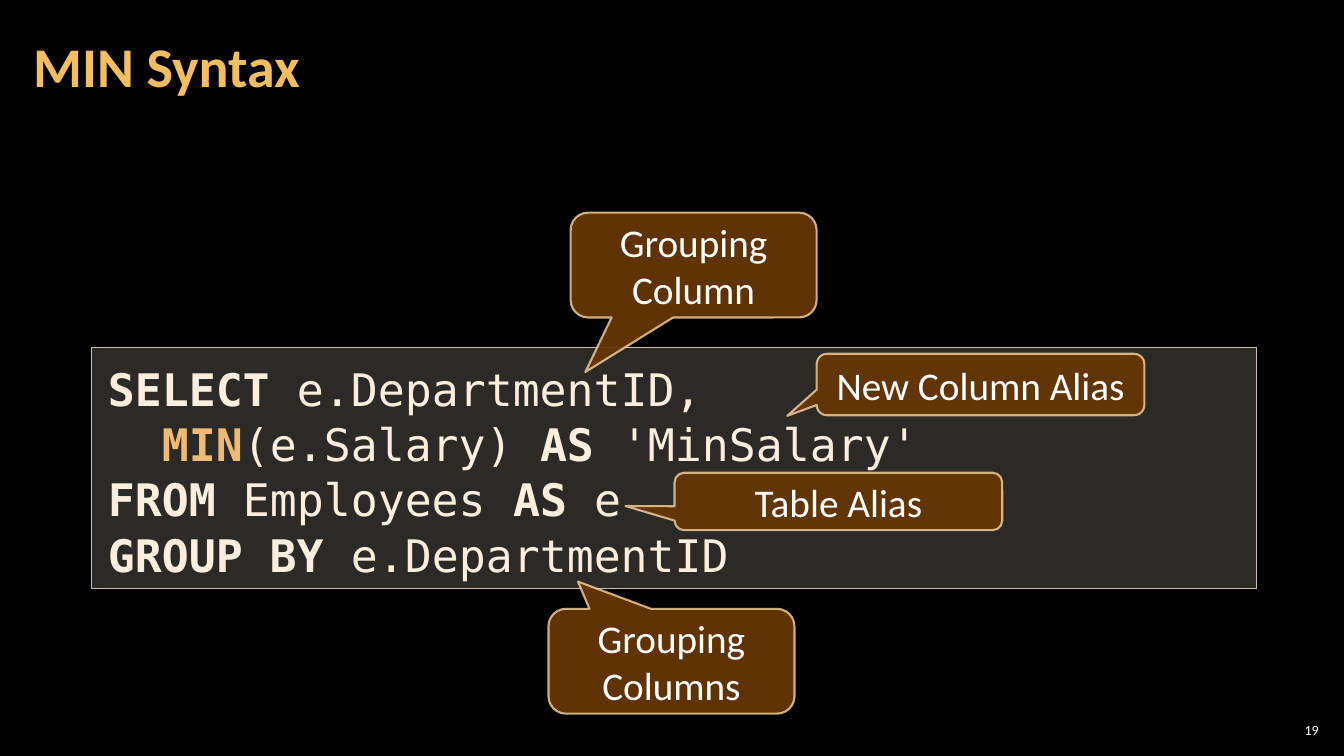
from lxml import etree
from pptx import Presentation
from pptx.dml.color import RGBColor
from pptx.enum.shapes import MSO_SHAPE
from pptx.enum.text import MSO_ANCHOR, PP_ALIGN
from pptx.oxml.ns import qn
from pptx.util import Inches, Pt

RECT = MSO_SHAPE.RECTANGLE
CALLOUT = MSO_SHAPE.ROUNDED_RECTANGULAR_CALLOUT
TOP, MIDDLE = MSO_ANCHOR.TOP, MSO_ANCHOR.MIDDLE
LEFT, CENTER, RIGHT = PP_ALIGN.LEFT, PP_ALIGN.CENTER, PP_ALIGN.RIGHT

FONT, CODE_FONT = "Calibri", "DejaVu Sans Mono"
COLORS = {
    "background": "000000",
    "title": "F3BE60",
    "text": "FFFFFF",
    "code": "FBEEDC",
    "function": "EFBB72",
    "panel": "D9D5C7",
    "panel_line": "C7BFAC",
    "callout": "663606",
    "callout_line": "F8D49E",
}

QUERY = [
    [("SELECT ", "keyword"), ("e.DepartmentID,", "plain"), ("\n", "break"),
     ("  ", "plain"), ("MIN", "function"), ("(e.Salary) ", "plain"),
     ("AS", "keyword"), (" 'MinSalary'", "plain")],
    [("FROM", "keyword"), (" Employees ", "plain"), ("AS", "keyword"), (" e", "plain")],
    [("GROUP BY ", "keyword"), ("e.DepartmentID", "plain")],
]
CALLOUTS = [
    ("Grouping Column", (5.66, 2.11, 2.44, 1.04), (-0.44, 1.02)),
    ("Grouping Columns", (5.44, 6.04, 2.44, 1.04), (-0.38, -0.76)),
    ("Table Alias", (6.69, 4.69, 3.25, 0.57), (-0.65, 0.08)),
    ("New Column Alias", (8.1, 3.51, 3.25, 0.61), (-0.59, 0.51)),
]


def rgb(name):
    """Return the named colour."""
    return RGBColor.from_string(COLORS[name])


def paint(fill, name, opacity=100):
    """Fill with a named colour at an opacity in percent."""
    fill.solid()
    fill.fore_color.rgb = rgb(name)
    if opacity < 100:
        for clr in fill._xPr.iter(qn("a:srgbClr")):
            etree.SubElement(clr, qn("a:alpha"), val=str(opacity * 1000))


def set_frame(tf, inset_x, inset_y, anchor):
    """Set wrapping, insets and anchor of a text frame."""
    tf.word_wrap = True
    tf.margin_left = tf.margin_right = Inches(inset_x)
    tf.margin_top = tf.margin_bottom = Inches(inset_y)
    tf.vertical_anchor = anchor


def style(p, size, color, align=LEFT, font=FONT, bold=False):
    """Set the font and alignment of a paragraph."""
    p.alignment = align
    p.font.name, p.font.size, p.font.bold = font, Pt(size), bold
    p.font.color.rgb = rgb(color)


def add_label(s, box, text, inset_x, size, color, align, bold=False):
    """Add a one-line text box."""
    tf = s.shapes.add_textbox(*map(Inches, box)).text_frame
    set_frame(tf, inset_x, 0.04, MIDDLE)
    p = tf.paragraphs[0]
    p.text = text
    style(p, size, color, align, bold=bold)


def add_panel(s, kind, box, fill, opacity, line, width, line_opacity=100):
    """Add a filled and outlined shape without a shadow."""
    sp = s.shapes.add_shape(kind, *map(Inches, box))
    sp.shadow.inherit = False
    paint(sp.fill, fill, opacity)
    sp.line.width = Pt(width)
    paint(sp.line.fill, line, line_opacity)
    return sp


def add_code(s, box, paragraphs):
    """Add the code panel with highlighted keywords."""
    sp = add_panel(s, RECT, box, "panel", 20, "panel_line", 1)
    tf = sp.text_frame
    set_frame(tf, 0.16, 0.12, TOP)
    for i, runs in enumerate(paragraphs):
        p = tf.add_paragraph() if i else tf.paragraphs[0]
        style(p, 32, "code", font=CODE_FONT)
        p.line_spacing = 1.03
        for text, role in runs:
            if role == "break":
                p.add_line_break()
                continue
            r = p.add_run()
            r.text = text
            r.font.name, r.font.size = CODE_FONT, Pt(32)
            r.font.bold = role != "plain"
            r.font.color.rgb = rgb("function" if role == "function" else "code")


def add_callout(s, box, text, tip):
    """Add a callout whose tip is offset from its centre by shares of its size."""
    sp = add_panel(s, CALLOUT, box, "callout", 95, "callout_line", 1.5, 80)
    sp.adjustments[0], sp.adjustments[1] = tip
    tf = sp.text_frame
    set_frame(tf, 0.1, 0.05, MIDDLE)
    p = tf.paragraphs[0]
    p.text = text
    style(p, 28, "text", CENTER)


def main():
    """Build the slide and save it."""
    prs = Presentation()
    prs.slide_width, prs.slide_height = Inches(13.33), Inches(7.5)
    s = prs.slides.add_slide(prs.slide_layouts[6])
    paint(s.background.fill, "background")
    add_code(s, (0.91, 3.45, 11.55, 2.39), QUERY)
    add_label(s, (12.65, 7.14, 0.47, 0.21), "19", 0.04, 10, "text", RIGHT)
    add_label(s, (0.21, 0.04, 10.47, 1.21), "MIN Syntax", 0.12, 40, "title", LEFT, True)
    for text, box, tip in CALLOUTS:
        add_callout(s, box, text, tip)
    prs.save("out.pptx")


if __name__ == "__main__":
    main()
